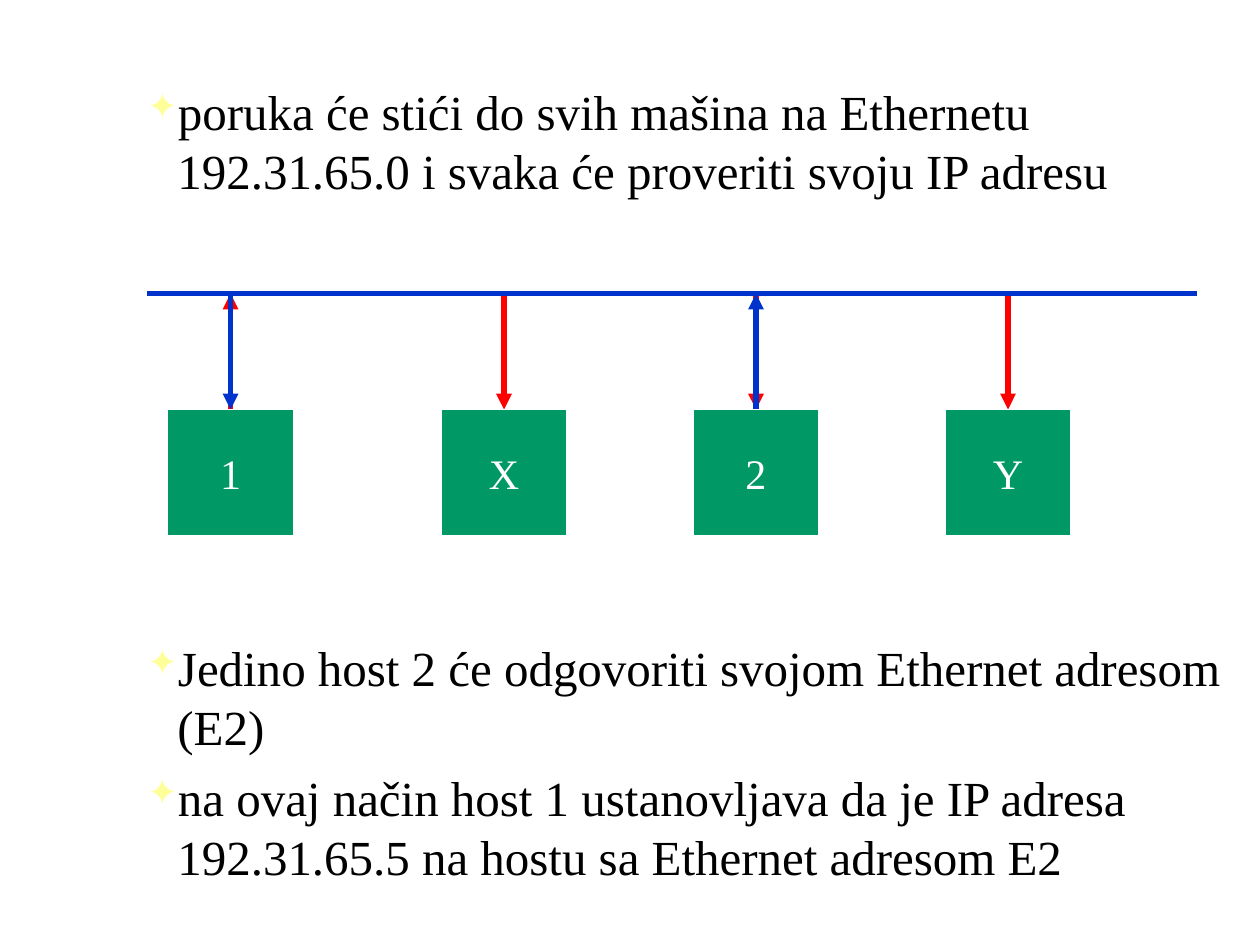
from lxml import etree
from pptx import Presentation
from pptx.dml.color import RGBColor
from pptx.enum.shapes import MSO_CONNECTOR, MSO_SHAPE
from pptx.enum.text import MSO_ANCHOR, PP_ALIGN
from pptx.oxml.ns import qn
from pptx.util import Inches, Pt

STRAIGHT = MSO_CONNECTOR.STRAIGHT
RECT = MSO_SHAPE.RECTANGLE
MIDDLE = MSO_ANCHOR.MIDDLE
CENTER = PP_ALIGN.CENTER

COLORS = {"text": "000000", "bullet": "FFFF99", "host": "009966",
          "white": "FFFFFF", "request": "FF0000", "reply": "0033CC"}
FONT = "Times New Roman"
BUS_Y, HOST_Y, HOST_SIZE = 2.33, 3.25, 1
HOSTS = {"1": 1.83, "X": 4, "2": 6, "Y": 8}


def rgb(name):
    return RGBColor.from_string(COLORS[name])


class SlideBuilder:
    def __init__(self, slide):
        self.slide = slide

    def style(self, font, size, color):
        for name, value in {"name": FONT, "size": Pt(size)}.items():
            setattr(font, name, value)
        font.color.rgb = rgb(color)

    def bullet(self, p):
        pPr = p._p.get_or_add_pPr()
        indent = Inches(0.24)
        pPr.set("marL", str(indent))
        pPr.set("indent", str(-indent))
        color = etree.SubElement(pPr, qn("a:buClr"))
        etree.SubElement(color, qn("a:srgbClr"), val=COLORS["bullet"])
        etree.SubElement(pPr, qn("a:buSzPct"), val="75000")
        etree.SubElement(pPr, qn("a:buChar"), char="✦")

    def bullets(self, top, height, items):
        s = self.slide.shapes.add_textbox(
            Inches(1.07), Inches(top), Inches(8.93), Inches(height))
        tf = s.text_frame
        tf.word_wrap = True
        for i, item in enumerate(items):
            p = tf.add_paragraph() if i else tf.paragraphs[0]
            self.bullet(p)
            if i:
                p.space_before = Pt(7)
            r = p.add_run()
            r.text = item
            self.style(r.font, 28, "text")

    def line(self, x1, y1, x2, y2, color, arrow=None):
        s = self.slide.shapes.add_connector(
            STRAIGHT, Inches(x1), Inches(y1), Inches(x2), Inches(y2))
        s.line.color.rgb = rgb(color)
        s.line.width = Pt(3)
        if arrow:
            etree.SubElement(s.line._get_or_add_ln(), qn(arrow), type="triangle")
        etree.SubElement(s._element.spPr, qn("a:effectLst"))

    def link(self, host, color, to_bus):
        x = HOSTS[host]
        self.line(x, HOST_Y, x, BUS_Y, color, "a:tailEnd" if to_bus else "a:headEnd")

    def host(self, label, x):
        s = self.slide.shapes.add_shape(
            RECT, Inches(x - HOST_SIZE / 2), Inches(HOST_Y),
            Inches(HOST_SIZE), Inches(HOST_SIZE))
        s.shadow.inherit = False
        s.fill.solid()
        s.fill.fore_color.rgb = rgb("host")
        s.line.color.rgb = rgb("white")
        s.line.width = Pt(0.75)
        tf = s.text_frame
        for name, value in {"vertical_anchor": MIDDLE, "word_wrap": False}.items():
            setattr(tf, name, value)
        p = tf.paragraphs[0]
        p.alignment = CENTER
        r = p.add_run()
        r.text = label
        self.style(r.font, 24, "white")


def main():
    prs = Presentation()
    prs.slide_width, prs.slide_height = Inches(10), Inches(7.5)
    slide = SlideBuilder(prs.slides.add_slide(prs.slide_layouts[6]))

    slide.bullets(0.6, 1.05, [
        "poruka će stići do svih mašina na Ethernetu 192.31.65.0 "
        "i svaka će proveriti svoju IP adresu"])
    slide.bullets(5.01, 2.1, [
        "Jedino host 2 će odgovoriti svojom Ethernet adresom (E2)",
        "na ovaj način host 1 ustanovljava da je IP adresa 192.31.65.5 "
        "na hostu sa Ethernet adresom E2"])

    for host in HOSTS:
        slide.link(host, "request", to_bus=host == "1")
    slide.link("2", "reply", to_bus=True)
    slide.line(1.17, BUS_Y, 9.5, BUS_Y, "reply")
    slide.link("1", "reply", to_bus=False)
    for label, x in HOSTS.items():
        slide.host(label, x)

    prs.save("out.pptx")


if __name__ == "__main__":
    main()
